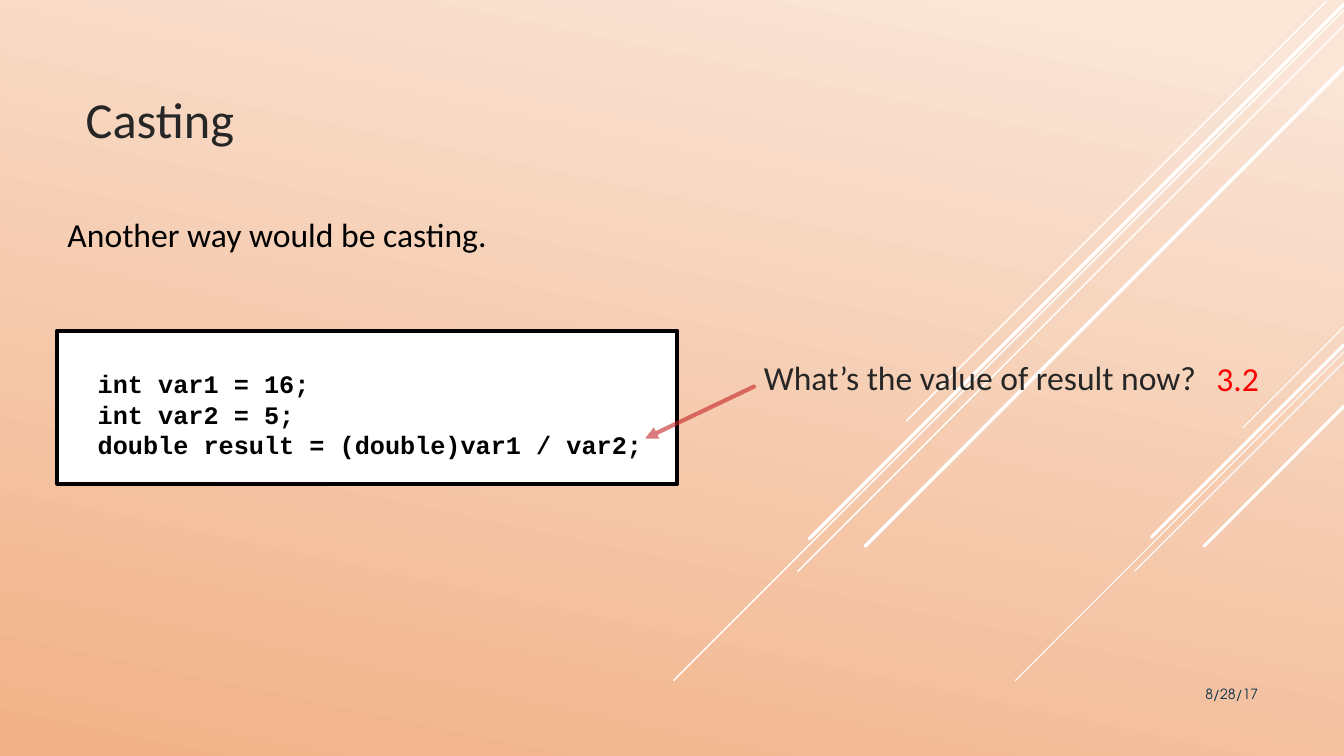
"""Build the slide on casting in integer division."""
import pptx
import pptx.dml.color
import pptx.enum.shapes
import pptx.enum.text
import pptx.oxml
import pptx.oxml.ns
import pptx.util

Pt = pptx.util.Pt
RGB = pptx.dml.color.RGBColor.from_string
ALIGN = pptx.enum.text.PP_ALIGN
ANCHOR = pptx.enum.text.MSO_ANCHOR

THEME = {
    "colors": {
        "light": "FAE5D7", "deep": "F1B187", "white": "FFFFFF", "black": "000000",
        "text": "262626", "answer": "FF0000", "arrow": "C62324", "date": "0A304A",
    },
    "fonts": {
        "title": {"name": "Calibri", "size": Pt(36), "bold": False},
        "body": {"name": "Calibri", "size": Pt(24)},
        "code": {"name": "Courier New", "size": Pt(18), "bold": True},
        "date": {"name": "TeX Gyre Adventor", "size": Pt(10)},
    },
    "paragraphs": {
        "title": {"alignment": ALIGN.LEFT},
        "body": {"alignment": ALIGN.JUSTIFY, "space_before": Pt(4.8), "space_after": Pt(6)},
        "code": {"alignment": ALIGN.LEFT, "line_spacing": Pt(21.8)},
        "date": {"alignment": ALIGN.RIGHT},
    },
}
W, H = 960, 540
NEAR_STREAKS = [(W, 233.3, 72, 0.75), (W, 251.3, 234.7, 0.75), (W, 258.5, 149.4, 0.75),
                (W, 246.2, 137.5, 2.25), (W, 290.2, 100.1, 2.25)]
FAR_STREAKS = [(947.5, 0.7, 300, 1), (W, 7.2, 478.8, 1), (W, 18, 390.2, 1),
               (W, 2.9, 382, 2.5), (W, 48.2, 342, 2.5)]
CODE = ["int var1 = 16;", "int var2 = 5;", "double result = (double)var1 / var2;"]


def apply(obj, values):
    for key, value in values.items():
        setattr(obj, key, value)


def element(tag, attrs=""):
    return pptx.oxml.parse_xml(f'<a:{tag} {pptx.oxml.ns.nsdecls("a")} {attrs}/>')


class Builder:
    def __init__(self, slide, theme):
        self.slide, self.theme = slide, theme

    def color(self, name):
        return RGB(self.theme["colors"][name])

    def background(self, start, end, angle):
        fill = self.slide.background.fill
        fill.gradient()
        fill.gradient_angle = angle
        for stop, name, pos in zip(fill.gradient_stops, (start, end), (0.07, 1)):
            stop.color.rgb = self.color(name)
            stop.position = pos

    def set_text(self, sp, lines, style, color, **frame):
        tf = sp.text_frame
        apply(tf, {"word_wrap": True, "auto_size": pptx.enum.text.MSO_AUTO_SIZE.NONE,
                   "vertical_anchor": ANCHOR.TOP, **frame})
        for i, line in enumerate(lines):
            p = tf.add_paragraph() if i else tf.paragraphs[0]
            apply(p, self.theme["paragraphs"][style])
            r = p.add_run()
            r.text = line
            apply(r.font, self.theme["fonts"][style])
            r.font.color.rgb = self.color(color)

    def placeholder(self, sp, box, text, style, color, **frame):
        apply(sp, dict(zip(("left", "top", "width", "height"), map(Pt, box))))
        self.set_text(sp, [text], style, color, **frame)

    def title(self, box, text, color):
        self.placeholder(self.slide.shapes.title, box, text, "title", color,
                         vertical_anchor=ANCHOR.BOTTOM)

    def body(self, box, text, color):
        sp = self.slide.placeholders[1]
        self.placeholder(sp, box, text, "body", color)
        pPr = sp.text_frame.paragraphs[0]._p.get_or_add_pPr()
        pPr.set("marL", "0")
        pPr.set("indent", "0")
        pPr.append(element("buNone"))

    def text(self, box, text, style, color):
        sp = self.slide.shapes.add_textbox(*map(Pt, box))
        self.set_text(sp, [text], style, color)
        return sp

    def code_box(self, box, lines):
        sp = self.slide.shapes.add_shape(pptx.enum.shapes.MSO_SHAPE.RECTANGLE, *map(Pt, box))
        sp.shadow.inherit = False
        sp.fill.solid()
        sp.fill.fore_color.rgb = self.color("white")
        sp.line.color.rgb = self.color("black")
        sp.line.width = Pt(3)
        self.set_text(sp, lines, "code", "black", margin_left=Pt(28.8), margin_top=Pt(26.7))

    def line(self, start, end, color, width):
        sp = self.slide.shapes.add_connector(
            pptx.enum.shapes.MSO_CONNECTOR.STRAIGHT, *map(Pt, (*start, *end)))
        sp.line.color.rgb = self.color(color)
        sp.line.width = Pt(width)
        sp.line._ln.set("cap", "rnd")
        sp._element.spPr.append(element("effectLst"))
        return sp

    def arrow(self, start, end, color, width, opacity):
        sp = self.line(start, end, color, width)
        ln = sp.line._ln
        clr = ln.find(".//" + pptx.oxml.ns.qn("a:srgbClr"))
        clr.append(element("alpha", f'val="{opacity * 1000}"'))
        ln.append(element("tailEnd", 'type="triangle"'))
        return sp


def main():
    prs = pptx.Presentation()
    prs.slide_width, prs.slide_height = Pt(W), Pt(H)
    slide = prs.slides.add_slide(prs.slide_layouts[1])
    b = Builder(slide, THEME)
    b.background("light", "deep", 258)
    for x, y, run, width in NEAR_STREAKS + FAR_STREAKS:
        b.line((x, y), (x - run, y + run), "white", width)
    b.code_box((41, 236.2, 442.8, 109.4), CODE)
    b.title((54, 35.3, 630, 74.2), "Casting", "text")
    question = b.text((538.6, 251.3, 337, 49.7), "What’s the value of result now?",
                      "body", "text")
    b.text((861.8, 252, 47.5, 49.7), "3.2", "body", "answer")
    b.body((41, 149, 720.7, 75.6), "Another way would be casting.", "black")
    arrow = b.arrow((538.6, 276.2), (460.8, 313.2), "arrow", 3, 60)
    arrow.begin_connect(question, 1)
    b.text((779.8, 486, 126, 28.8), "8/28/17", "date", "date")
    prs.save("out.pptx")


if __name__ == "__main__":
    main()
